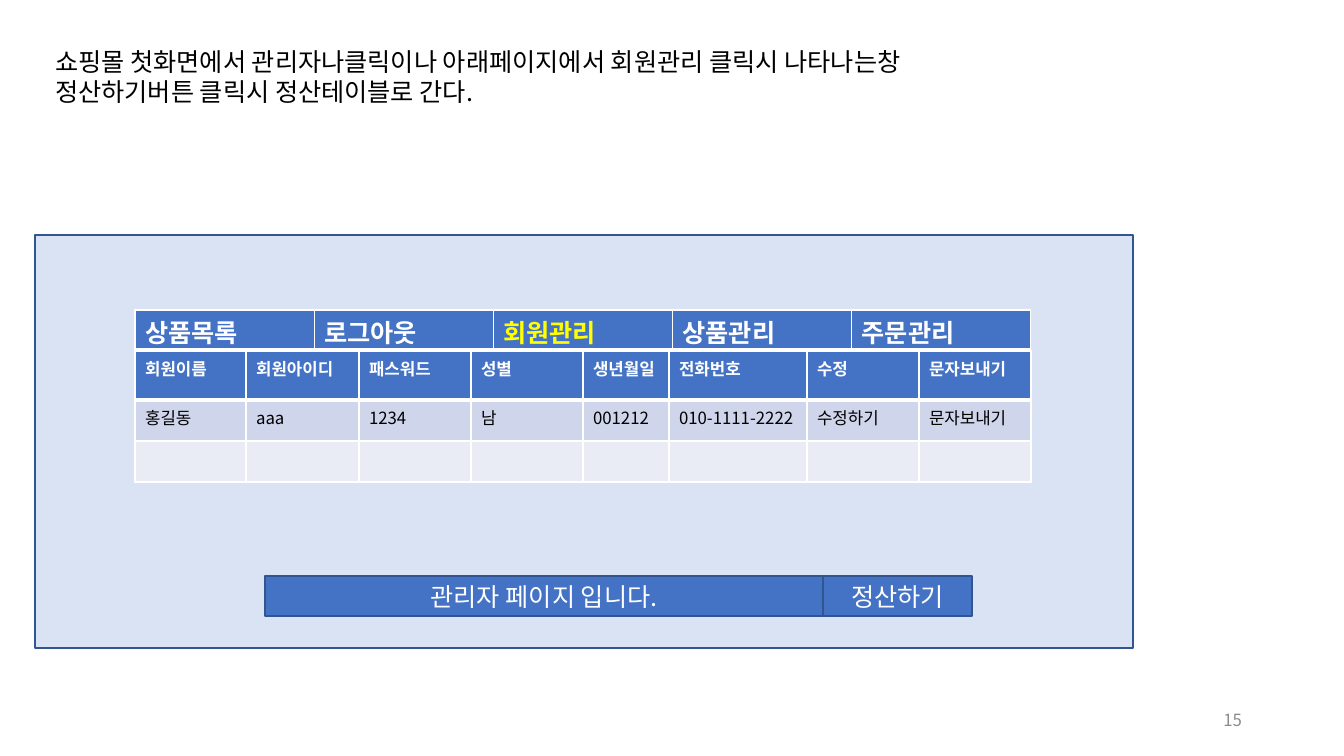
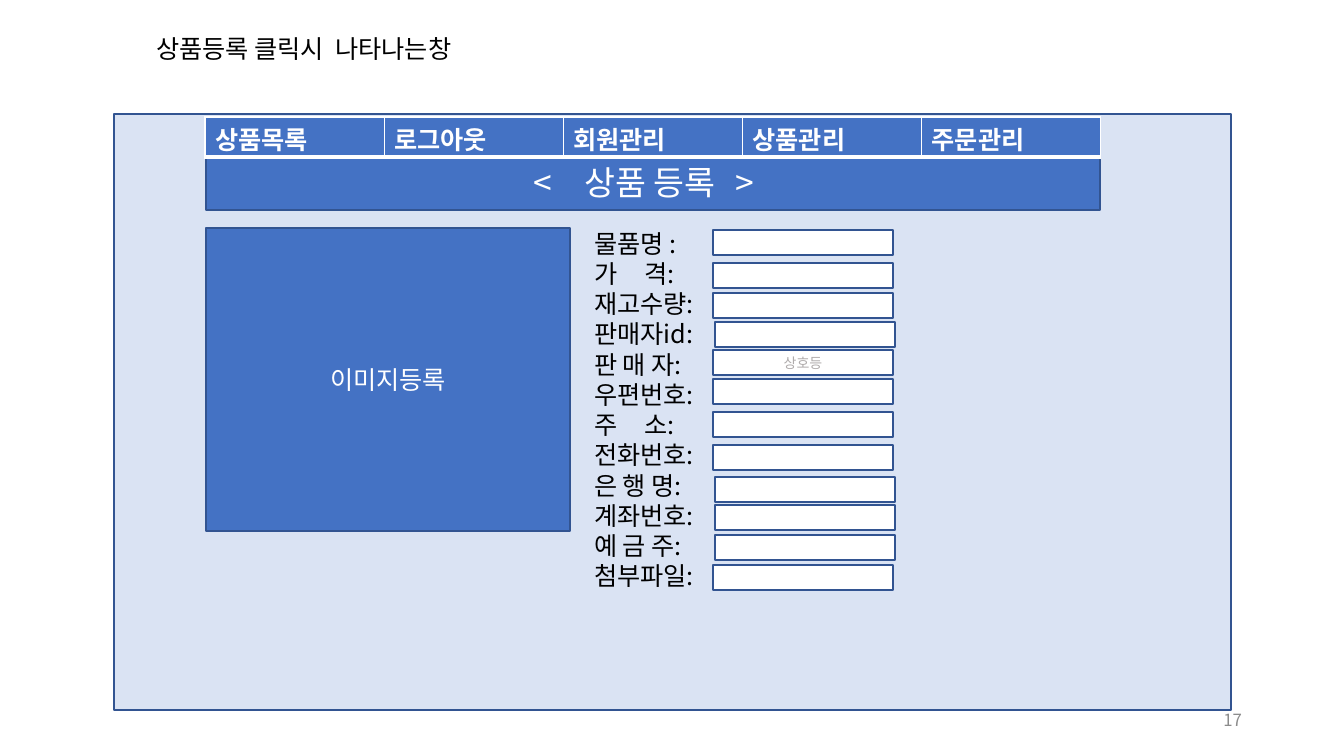
"""Build two shop administration screens: member list and product registration."""
from dataclasses import dataclass

from lxml.etree import SubElement
from pptx import Presentation
from pptx.dml.color import RGBColor
from pptx.enum.shapes import MSO_SHAPE
from pptx.enum.text import MSO_ANCHOR, MSO_AUTO_SIZE, PP_ALIGN
from pptx.oxml.ns import qn
from pptx.util import Pt


@dataclass(frozen=True)
class Theme:
    font: str = "Noto Sans CJK KR"
    black: str = "000000"
    white: str = "FFFFFF"
    blue: str = "4472C4"
    outline: str = "325491"
    panel: str = "DAE3F3"
    band: str = "CFD5EA"
    band_light: str = "E9EBF5"
    active: str = "FFFF00"
    hint: str = "AFABAB"
    number: str = "8C8C8C"
    body_size: int = 18
    heading_size: int = 24
    cell_size: int = 12
    hint_size: int = 10
    line_pitch: float = 21.6


THEME = Theme()
EMU_PER_PX = 914400 / 100.8

MENU = ["상품목록", "로그아웃", "회원관리", "상품관리", "주문관리"]
MENU_SIZE = (896, 40)
NUMBER_BOX = (950, 700, 302, 40)

MEMBER_TITLE = [
    "쇼핑몰 첫화면에서 관리자나클릭이나 아래페이지에서 회원관리 클릭시 나타나는창",
    "정산하기버튼 클릭시 정산테이블로 간다.",
]
MEMBER_COLUMNS = [
    ("회원이름", "홍길동", 111),
    ("회원아이디", "aaa", 113),
    ("패스워드", "1234", 112),
    ("성별", "남", 112),
    ("생년월일", "001212", 86),
    ("전화번호", "010-1111-2222", 138),
    ("수정", "수정하기", 112),
    ("문자보내기", "문자보내기", 112),
]
MEMBER_ROWS = [49, 41, 41]
MEMBER_BUTTONS = [
    ("관리자 페이지 입니다.", (265, 576, 558, 40)),
    ("정산하기", (823, 576, 149, 40)),
]

PRODUCT_TITLE = ["상품등록 클릭시  나타나는창"]
PRODUCT_HEADING = "<\t상품 등록\t>"
HEADING_INSET = 328
HEADING_TABS = [50, 219]
LABEL_TABS = [52]
FIELD_SIZE = (180, 25)
PRODUCT_FIELDS = [
    ("물품명 :", 713, 230, ""),
    ("가\t격:", 713, 263, ""),
    ("재고수량:", 713, 293, ""),
    ("판매자id:", 715, 322, ""),
    ("판 매 자:", 713, 350, "상호등"),
    ("우편번호:", 713, 379, ""),
    ("주\t소:", 713, 412, ""),
    ("전화번호:", 713, 445, ""),
    ("은 행 명:", 715, 477, ""),
    ("계좌번호:", 715, 505, ""),
    ("예 금 주:", 715, 535, ""),
    ("첨부파일:", 713, 565, ""),
]


def emu(px):
    return round(px * EMU_PER_PX)


def color(value):
    return RGBColor.from_string(value)


def apply(target, values):
    for name, value in values.items():
        setattr(target, name, value)


def place(shape, box):
    apply(shape, dict(zip(("left", "top", "width", "height"), map(emu, box))))


def write(paragraph, text, size, ink, bold=False, tabs=(), **layout):
    properties = paragraph._p.get_or_add_pPr()
    for name in ("marL", "indent"):
        properties.set(name, "0")
    SubElement(properties, qn("a:buNone"))
    if tabs:
        tab_list = SubElement(properties, qn("a:tabLst"))
        for position in tabs:
            SubElement(tab_list, qn("a:tab"), pos=str(emu(position)), algn="l")
    apply(paragraph, {"space_before": Pt(0), "alignment": PP_ALIGN.LEFT, **layout})
    if not text:
        SubElement(paragraph._p, qn("a:endParaRPr"), sz=str(size * 100))
        return
    run = paragraph.add_run()
    run.text = text
    apply(run.font, {"size": Pt(size), "bold": bold, "name": THEME.font})
    run.font.color.rgb = color(ink)
    SubElement(run._r.get_or_add_rPr(), qn("a:ea"), typeface=THEME.font)


def fill_placeholder(shape, box, lines, tabs=()):
    place(shape, box)
    frame = shape.text_frame
    apply(frame, {"word_wrap": True, "auto_size": MSO_AUTO_SIZE.NONE,
                  "vertical_anchor": MSO_ANCHOR.TOP})
    for index, line in enumerate(lines):
        paragraph = frame.add_paragraph() if index else frame.paragraphs[0]
        write(paragraph, line, THEME.body_size, THEME.black,
              tabs=tabs if "\t" in line else (), line_spacing=Pt(THEME.line_pitch))


def add_box(slide, box, fill, text="", size=THEME.body_size, ink=THEME.white,
            inset=10, tabs=()):
    shape = slide.shapes.add_shape(MSO_SHAPE.RECTANGLE, *map(emu, box))
    shape.shadow.inherit = False
    shape.fill.solid()
    shape.fill.fore_color.rgb = color(fill)
    shape.line.color.rgb = color(THEME.outline)
    shape.line.width = Pt(1)
    if text:
        frame = shape.text_frame
        apply(frame, {"vertical_anchor": MSO_ANCHOR.MIDDLE, "word_wrap": True,
                      "margin_left": emu(inset), "margin_top": 0, "margin_bottom": 0})
        alignment = PP_ALIGN.LEFT if tabs else PP_ALIGN.CENTER
        write(frame.paragraphs[0], text, size, ink, tabs=tabs, alignment=alignment)
    return shape


def format_cell(cell, fill, bottom_width):
    properties = cell._tc.get_or_add_tcPr()
    for side, width in (("L", 1), ("R", 1), ("T", 1), ("B", bottom_width)):
        line = SubElement(properties, qn(f"a:ln{side}"), w=str(Pt(width)))
        paint = SubElement(line, qn("a:solidFill"))
        SubElement(paint, qn("a:srgbClr"), val=THEME.white)
    cell.fill.solid()
    cell.fill.fore_color.rgb = color(fill)


def add_table(slide, left, top, widths, heights):
    box = (left, top, sum(widths), sum(heights))
    table = slide.shapes.add_table(len(heights), len(widths), *map(emu, box)).table
    apply(table, {"first_row": False, "horz_banding": False})
    for column, width in zip(table.columns, widths):
        column.width = emu(width)
    for row, height in zip(table.rows, heights):
        row.height = emu(height)
    return table


def add_menu(slide, left, top, active=None):
    width, height = MENU_SIZE
    table = add_table(slide, left, top, [width / len(MENU)] * len(MENU), [height])
    for cell, label in zip(table.iter_cells(), MENU):
        format_cell(cell, THEME.blue, 3)
        apply(cell, {"margin_top": emu(10), "margin_bottom": 0})
        ink = THEME.active if label == active else THEME.white
        write(cell.text_frame.paragraphs[0], label, THEME.body_size, ink, True,
              line_spacing=Pt(THEME.line_pitch))


def add_members(slide, left, top):
    headers, members, widths = zip(*MEMBER_COLUMNS)
    table = add_table(slide, left, top, widths, MEMBER_ROWS)
    rows = [
        (headers, THEME.blue, THEME.white, True, 3),
        (members, THEME.band, THEME.black, False, 1),
        ([""] * len(headers), THEME.band_light, THEME.black, False, 1),
    ]
    for row, (texts, fill, ink, bold, bottom_width) in zip(table.rows, rows):
        for cell, text in zip(row.cells, texts):
            format_cell(cell, fill, bottom_width)
            write(cell.text_frame.paragraphs[0], text, THEME.cell_size, ink, bold)


def start_slide(presentation, layout_index, title, title_box, panel_box, number):
    slide = presentation.slides.add_slide(presentation.slide_layouts[layout_index])
    fill_placeholder(slide.shapes.title, title_box, title)
    add_box(slide, panel_box, THEME.panel)
    number_box = slide.shapes.add_textbox(*map(emu, NUMBER_BOX))
    frame = number_box.text_frame
    apply(frame, {"word_wrap": True, "vertical_anchor": MSO_ANCHOR.MIDDLE})
    write(frame.paragraphs[0], number, THEME.cell_size, THEME.number,
          alignment=PP_ALIGN.RIGHT)
    return slide


def build_member_slide(presentation):
    slide = start_slide(presentation, 5, MEMBER_TITLE, (45, 41, 1275, 72),
                        (35, 235, 1098, 413), "15")
    add_menu(slide, 135, 310, active="회원관리")
    add_members(slide, 135, 351)
    for text, box in MEMBER_BUTTONS:
        add_box(slide, box, THEME.blue, text)


def build_product_slide(presentation):
    slide = start_slide(presentation, 1, PRODUCT_TITLE, (146, 28, 877, 72),
                        (114, 114, 1117, 596), "17")
    add_box(slide, (206, 228, 364, 303), THEME.blue, "이미지등록")
    labels = slide.placeholders[1]
    fill_placeholder(labels, (584, 223, 539, 377),
                     [field[0] for field in PRODUCT_FIELDS], LABEL_TABS)
    labels.element.getparent().append(labels.element)
    for _, left, top, hint in PRODUCT_FIELDS:
        add_box(slide, (left, top, *FIELD_SIZE), THEME.white, hint,
                THEME.hint_size, THEME.hint)
    add_box(slide, (206, 155, 894, 55), THEME.blue, PRODUCT_HEADING,
            THEME.heading_size, inset=HEADING_INSET, tabs=HEADING_TABS)
    add_menu(slide, 205, 117)


def main():
    presentation = Presentation()
    apply(presentation, {"slide_width": emu(1344), "slide_height": emu(756)})
    build_member_slide(presentation)
    build_product_slide(presentation)
    presentation.save("out.pptx")


if __name__ == "__main__":
    main()
